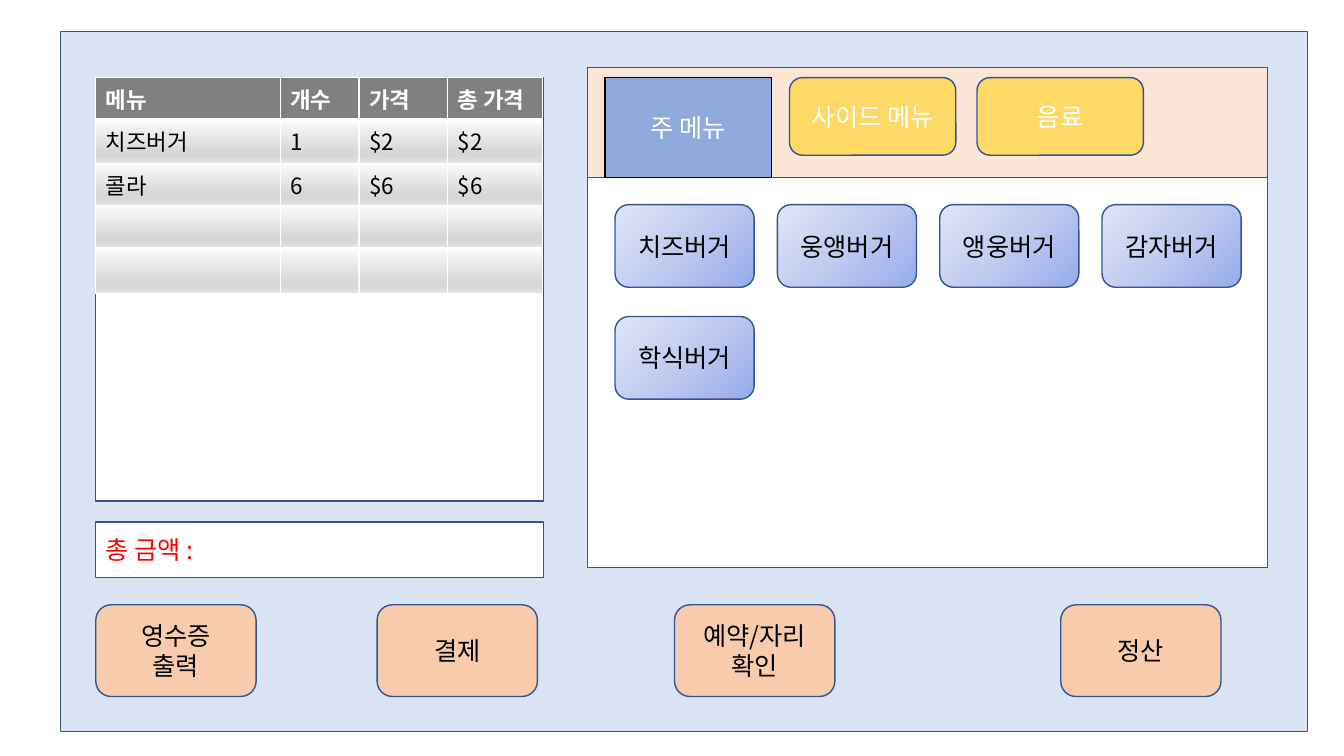
"""Build the point-of-sale screen of a burger shop."""
from dataclasses import dataclass

from lxml import etree
from pptx import Presentation
from pptx import util as u
from pptx.dml.color import RGBColor
from pptx.enum import shapes, text
from pptx.oxml import ns

RECT = shapes.MSO_SHAPE.RECTANGLE
ROUND = shapes.MSO_SHAPE.ROUNDED_RECTANGLE
MID = text.PP_ALIGN.CENTER
LEFT = text.PP_ALIGN.LEFT


@dataclass(frozen=True)
class Theme:
    font: str = "Noto Sans CJK KR"
    size: int = 18
    small: int = 16
    line: str = "325491"
    black: str = "000000"
    white: str = "FFFFFF"
    red: str = "FF0000"
    screen: str = "DAE3F3"
    strip: str = "FBE5D6"
    active: str = "8FAADC"
    tab: str = "FFD966"
    button: str = "F8CBAD"
    head: str = "808080"
    burger: tuple = ((0, "96ABEA"), (50, "C0CBF0"), (100, "E0E5F7"))
    row: tuple = ((0, "FAFAFA"), (74, "D7D7D7"), (83, "D7D7D7"), (100, "E4E4E4"))


@dataclass(frozen=True)
class Box:
    x: float
    y: float
    w: float
    h: float
    fill: str | tuple
    words: str = ""
    ink: str = "000000"
    kind: int = ROUND
    edge: str = "325491"
    align: int = MID


T = Theme()


def add(root: etree._Element, tag: str, **attrs: object) -> etree._Element:
    return etree.SubElement(root, ns.qn(tag), {k: str(v) for k, v in attrs.items()})


def shade(item: object, root: etree._Element, stops: tuple, round_: bool) -> None:
    item.fill.gradient()
    grad = root.find(ns.qn("a:gradFill"))
    for child in list(grad):
        grad.remove(child)
    group = add(grad, "a:gsLst")
    for pos, color in stops:
        add(add(group, "a:gs", pos=pos * 1000), "a:srgbClr", val=color)
    if round_:
        add(add(grad, "a:path", path="circle"), "a:fillToRect", l=100000, t=100000)
    else:
        add(grad, "a:lin", ang=5400000, scaled=0)


def flat(item: object, color: str) -> None:
    item.fill.solid()
    item.fill.fore_color.rgb = RGBColor.from_string(color)


def write(para: object, words: str, size: int, color: str, bold: bool = False) -> None:
    run = para.add_run()
    run.text = words
    font = run.font
    font.name, font.size, font.bold = T.font, u.Pt(size), bold
    font.color.rgb = RGBColor.from_string(color)
    add(font._element, "a:ea", typeface=T.font)


def draw(slide: object, box: Box) -> None:
    place = [u.Inches(n) for n in (box.x, box.y, box.w, box.h)]
    shape = slide.shapes.add_shape(box.kind, *place)
    shape.shadow.inherit = False
    if isinstance(box.fill, tuple):
        shade(shape, shape._element.spPr, box.fill, True)
    else:
        flat(shape, box.fill)
    shape.line.color.rgb = RGBColor.from_string(box.edge)
    shape.line.width = u.Pt(1)
    if not box.words:
        return
    frame = shape.text_frame
    frame.word_wrap = True
    frame.vertical_anchor = text.MSO_ANCHOR.MIDDLE
    for i, words in enumerate(box.words.split("\n")):
        para = frame.add_paragraph() if i else frame.paragraphs[0]
        para.alignment = box.align
        write(para, words, T.size, box.ink)


def border(cell: object, head: bool) -> None:
    props = cell._tc.get_or_add_tcPr()
    for side in "LRTB":
        width = 3 if head and side == "B" else 1
        line = add(props, f"a:ln{side}", w=u.Pt(width))
        add(add(line, "a:solidFill"), "a:srgbClr", val=T.white)


def order(slide: object, rows: list, cols: list, highs: list) -> None:
    place = [u.Inches(n) for n in (0.95, 0.77, sum(cols), sum(highs))]
    table = slide.shapes.add_table(len(rows), len(cols), *place).table
    for col, wide in zip(table.columns, cols):
        col.width = u.Inches(wide)
    for r, (row, high) in enumerate(zip(rows, highs)):
        table.rows[r].height = u.Inches(high)
        for c, words in enumerate(row):
            cell, head = table.cell(r, c), r == 0
            border(cell, head)
            if head:
                flat(cell, T.head)
            else:
                shade(cell, cell._tc.tcPr, T.row, False)
            para = cell.text_frame.paragraphs[0]
            if words:
                write(para, words, T.small, T.white if head else T.black, head)
            else:
                add(para._p, "a:endParaRPr", sz=T.small * 100)


def main() -> None:
    deck = Presentation()
    deck.slide_width, deck.slide_height = u.Inches(13.33), u.Inches(7.5)
    slide = deck.slides.add_slide(deck.slide_layouts[6])

    boxes = [
        Box(0.6, 0.31, 12.37, 6.95, T.screen, kind=RECT),
        Box(5.83, 0.67, 6.74, 4.96, T.white, kind=RECT),
        Box(0.95, 0.77, 4.44, 4.2, T.white, kind=RECT),
        Box(5.83, 0.67, 6.74, 1.09, T.strip, kind=RECT),
        Box(6, 0.77, 1.65, 0.99, T.active, "주 메뉴", T.white, RECT, T.black),
        Box(0.95, 5.18, 4.44, 0.55, T.white, "총 금액 :", T.red, RECT, align=LEFT),
    ]
    for i, name in enumerate(("사이드 메뉴", "음료")):
        boxes.append(Box(7.83 + 1.86 * i, 0.77, 1.65, 0.77, T.tab, name, T.white))
    burgers = ("치즈버거", "웅앵버거", "앵웅버거", "감자버거", "학식버거")
    for i, name in enumerate(burgers):
        row, col = divmod(i, 4)
        boxes.append(Box(6.1 + 1.61 * col, 2.03 + 1.11 * row, 1.38, 0.82,
                         T.burger, name))
    buttons = {0.95: "영수증\n출력", 3.74: "결제", 6.69: "예약/자리\n확인", 10.52: "정산"}
    for x, name in buttons.items():
        boxes.append(Box(x, 6, 1.59, 0.91, T.button, name))
    for box in boxes:
        draw(slide, box)

    rows = [["메뉴", "개수", "가격", "총 가격"],
            ["치즈버거", "1", "$2", "$2"],
            ["콜라", "6", "$6", "$6"],
            [""] * 4, [""] * 4]
    order(slide, rows, [1.83, 0.78, 0.88, 0.94], [0.4, 0.43, 0.42, 0.42, 0.45])
    deck.save("out.pptx")


main()
